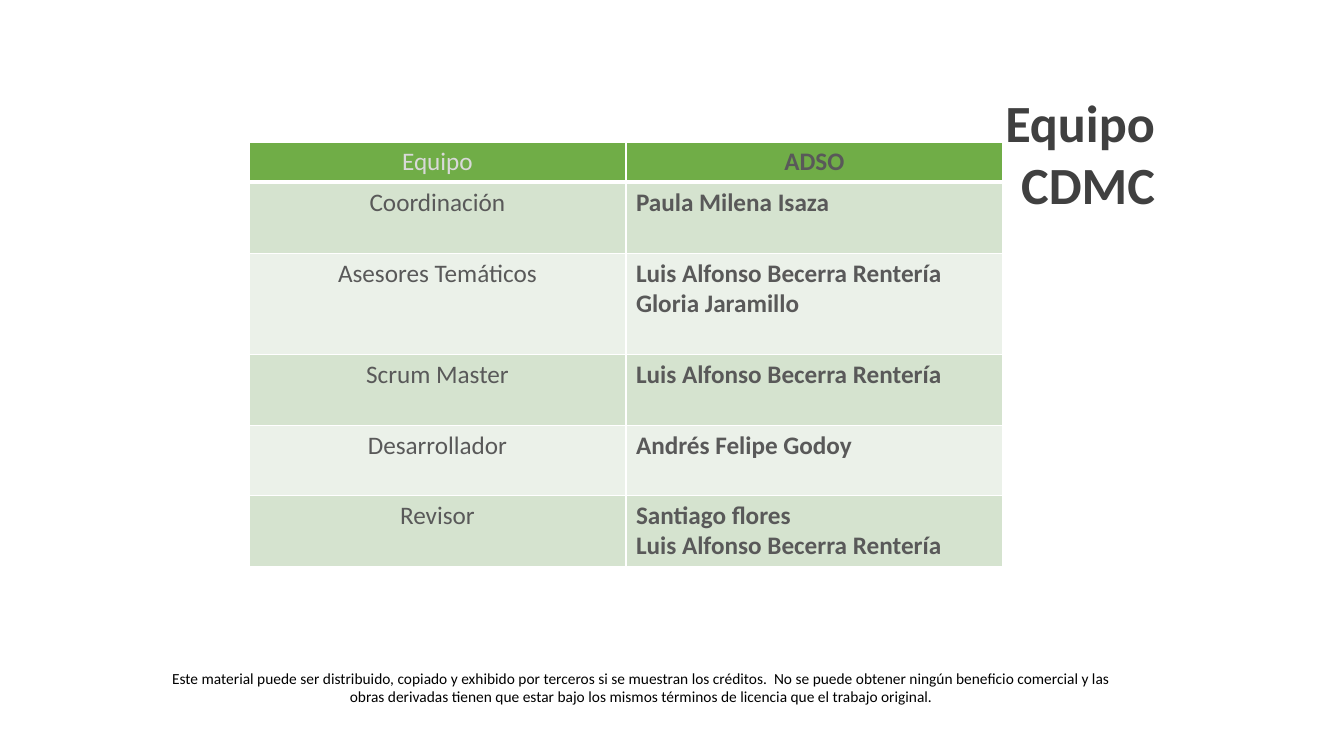
from lxml.etree import SubElement
from pptx import Presentation
from pptx.dml.color import RGBColor
from pptx.enum.text import PP_ALIGN
from pptx.oxml.ns import qn
from pptx.util import Pt

SCALE = 914400 / 100.8
ROWS = [
    ("Equipo", "ADSO", 40),
    ("Coordinación", "Paula Milena Isaza", 71),
    ("Asesores Temáticos", "Luis Alfonso Becerra Rentería\nGloria Jaramillo", 101),
    ("Scrum Master", "Luis Alfonso Becerra Rentería", 71),
    ("Desarrollador", "Andrés Felipe Godoy", 70),
    ("Revisor", "Santiago flores\nLuis Alfonso Becerra Rentería", 71),
]
NOTICE = (
    "Este material puede ser distribuido, copiado y exhibido por terceros "
    "si se muestran los créditos.  No se puede obtener ningún beneficio "
    "comercial y las obras derivadas tienen que estar bajo los mismos "
    "términos de licencia que el trabajo original."
)


def px(size):
    return round(size * SCALE)


def paint(color):
    return RGBColor.from_string(color)


def write(frame, text, size=18, color="595959", bold=False, align=PP_ALIGN.CENTER):
    frame.word_wrap = True
    for index, line in enumerate(text.split("\n")):
        para = frame.add_paragraph() if index else frame.paragraphs[0]
        para.alignment = align
        run = para.add_run()
        run.text = line
        run.font.name = "Calibri"
        run.font.size = Pt(size)
        run.font.bold = bold
        run.font.color.rgb = paint(color)


def add_text(slide, box, text, **style):
    shape = slide.shapes.add_textbox(*map(px, box))
    write(shape.text_frame, text, **style)


def edge(cell, side, width):
    props = cell._tc.get_or_add_tcPr()
    line = SubElement(props, qn(f"a:ln{side}"), w=str(Pt(width)))
    fill = SubElement(line, qn("a:solidFill"))
    SubElement(fill, qn("a:srgbClr"), val="FFFFFF")


def add_team(slide, box):
    table = slide.shapes.add_table(len(ROWS), 2, *map(px, box)).table
    for column in table.columns:
        column.width = px(box[2] / 2)
    for row, (role, names, height) in enumerate(ROWS):
        table.rows[row].height = px(height)
        head = row == 0
        for col, text in enumerate((role, names)):
            cell = table.cell(row, col)
            cell.margin_top = cell.margin_bottom = px(5)
            write(
                cell.text_frame,
                text,
                color="D9D9D9" if head and col == 0 else "595959",
                bold=col == 1,
                align=PP_ALIGN.CENTER if head or col == 0 else PP_ALIGN.LEFT,
            )
            for side in "LRTB":
                thick = (head and side == "B") or (row == 1 and side == "T")
                edge(cell, side, 3 if thick else 1)
            cell.fill.solid()
            tint = "D5E3CF" if row % 2 else "EBF1E9"
            if row == len(ROWS) - 1:
                tint = "D5E3CF"
            cell.fill.fore_color.rgb = paint("70AD47" if head else tint)


def main():
    deck = Presentation()
    deck.slide_width, deck.slide_height = px(1344), px(756)
    slide = deck.slides.add_slide(deck.slide_layouts[6])
    add_text(slide, (709, 85, 456, 137), "Equipo\nCDMC", size=37.3,
             color="404040", bold=True, align=PP_ALIGN.RIGHT)
    add_team(slide, (249, 142, 754, 424))
    add_text(slide, (150, 664, 983, 47), NOTICE, size=11, color="000000")
    deck.save("out.pptx")


if __name__ == "__main__":
    main()
